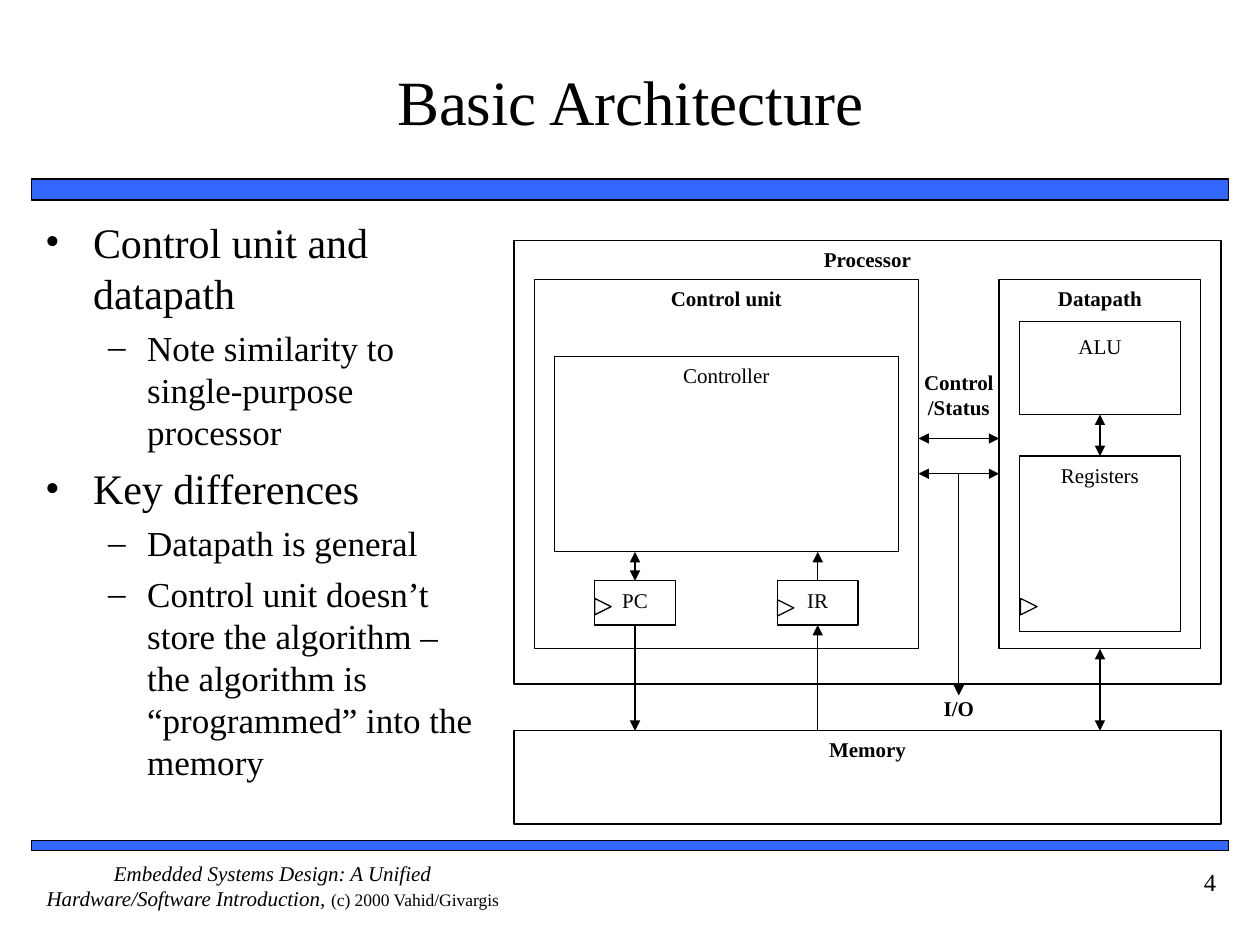
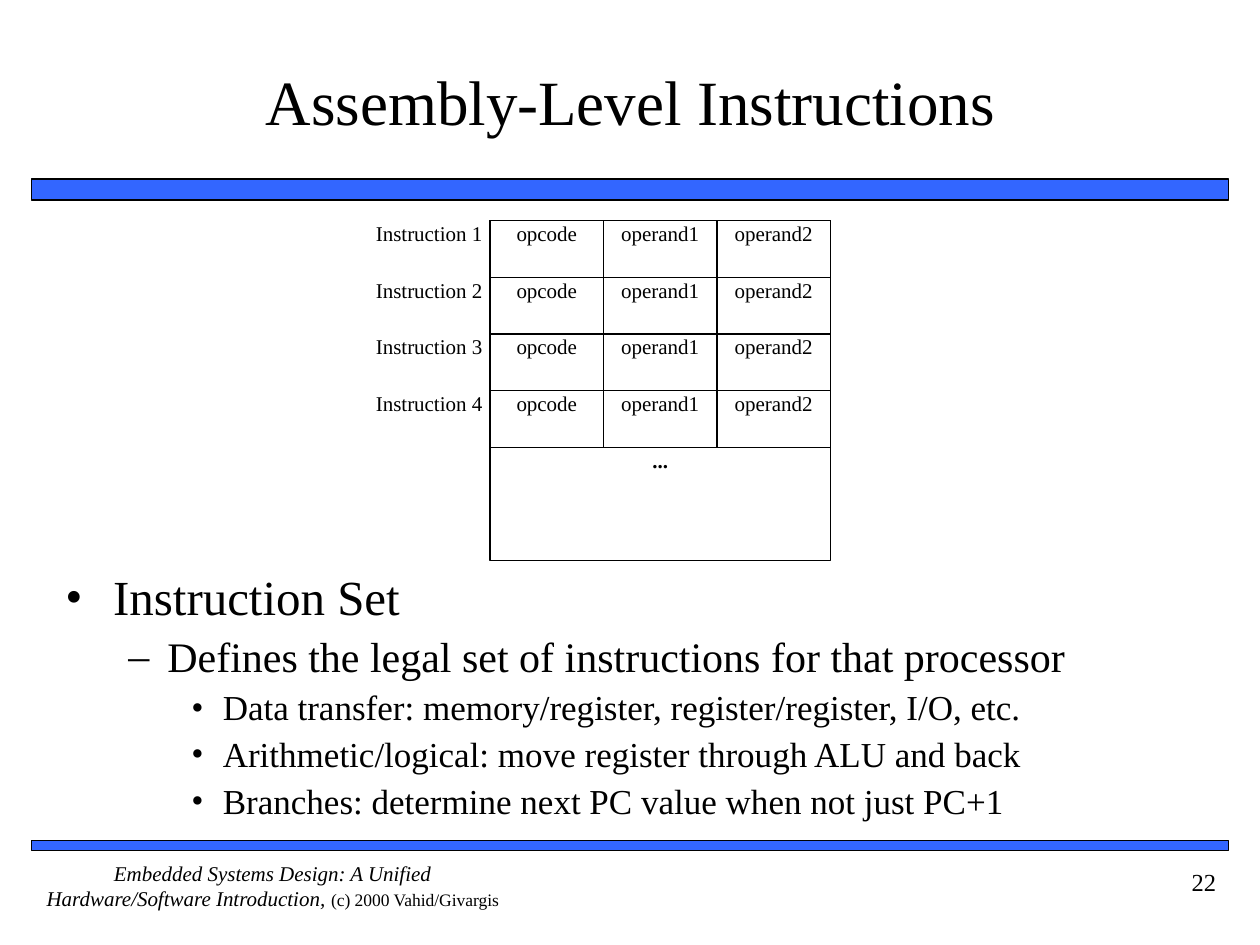
from dataclasses import dataclass, replace
from typing import Optional

from lxml.etree import SubElement
from pptx import Presentation
from pptx.dml.color import RGBColor
from pptx.enum.shapes import MSO_CONNECTOR, MSO_SHAPE
from pptx.enum.text import MSO_ANCHOR, PP_ALIGN
from pptx.oxml.ns import qn
from pptx.util import Inches, Pt

FONT = "Times New Roman"
BLACK, WHITE, BLUE = "000000", "FFFFFF", "3366FF"
THIN = 0.75
INDENT = ((0.38, -0.38, "•"), (0.81, -0.31, "–"), (1.25, -0.25, "•"))


@dataclass(frozen=True)
class Box:
    """A rectangle or a plain text area."""
    left: float
    top: float
    width: float
    height: float
    text: str = ""
    bold: bool = False
    fill: Optional[str] = None
    line: float = THIN
    size: float = 12
    align: PP_ALIGN = PP_ALIGN.CENTER
    anchor: MSO_ANCHOR = MSO_ANCHOR.TOP
    pad: tuple[float, float] = (0.1, 0.05)


@dataclass(frozen=True)
class Arrow:
    """A line with a head at its end, its start or both, joined to named boxes."""
    start: tuple[float, float]
    end: tuple[float, float]
    both: bool = False
    tail: Optional[tuple[str, int]] = None
    head: Optional[tuple[str, int]] = None


@dataclass(frozen=True)
class Item:
    """A bullet line."""
    level: int
    text: str


@dataclass(frozen=True)
class Body:
    """A bullet list with the size and the space before of each level."""
    area: Box
    items: tuple[Item, ...]
    sizes: tuple[int, ...]
    gaps: tuple[int, ...]
    pitch: float = 1.0


def label(left: float, top: float, width: float, height: float,
          text: str = "", **more) -> Box:
    """Return a box with no outline and no margins."""
    return replace(Box(left, top, width, height, text, line=0, pad=(0, 0)), **more)


TITLE = label(0.42, 0.17, 9.17, 1.25, size=36, anchor=MSO_ANCHOR.MIDDLE, pad=(0, 0.05))
BANDS = (Box(0.25, 1.42, 9.5, 0.17, fill=BLUE, line=1),
         Box(0.25, 6.67, 9.5, 0.08, fill=BLUE, line=1))
FOOTER = label(0.25, 6.83, 3.83, 0.5,
               "Embedded Systems Design: A Unified Hardware/Software Introduction, ")
NOTICE = "(c) 2000 Vahid/Givargis"
NUMBER = label(8.75, 6.83, 1, 0.5, size=14, align=PP_ALIGN.RIGHT, pad=(0.1, 0.05))

PARTS = (
    Box(4.08, 1.91, 5.61, 3.52, "Processor", True),
    Box(4.24, 2.22, 3.05, 2.93, "Control unit", True),
    Box(7.93, 2.22, 1.6, 2.93, "Datapath", True),
    Box(8.09, 2.55, 1.28, 0.74, "ALU", fill=WHITE, pad=(0.1, 0.1)),
    Box(8.09, 3.62, 1.28, 1.39, "Registers", fill=WHITE),
    Box(6.17, 4.61, 0.64, 0.35, "IR", fill=WHITE),
    Box(4.72, 4.61, 0.64, 0.35, "PC", fill=WHITE),
    Box(4.4, 2.83, 2.73, 1.55, "Controller", fill=WHITE),
    Box(4.08, 5.8, 5.61, 0.74, "Memory", True, WHITE),
    label(7.37, 5.52, 0.48, 0.28, "I/O", bold=True),
    label(7.29, 2.93, 0.64, 0.56, "Control\n/Status", bold=True),
)
ARROWS = (
    Arrow((6.49, 4.61), (6.49, 4.38), tail=("IR", 0)),
    Arrow((5.04, 4.61), (5.04, 4.38), True, tail=("PC", 0)),
    Arrow((8.73, 3.29), (8.73, 3.62), True, ("ALU", 2), ("Registers", 0)),
    Arrow((8.73, 5.15), (8.73, 5.8), True, tail=("Datapath", 2)),
    Arrow((5.04, 4.96), (5.04, 5.8), tail=("PC", 2)),
    Arrow((6.49, 5.8), (6.49, 4.96), head=("IR", 2)),
    Arrow((7.29, 3.48), (7.93, 3.48), True),
    Arrow((7.29, 3.76), (7.93, 3.76), True),
    Arrow((7.61, 3.76), (7.61, 5.52), head=("I/O", 0)),
)
CLOCKS = ((4.72, 4.75), (6.17, 4.76), (8.1, 4.75))

UNITS = Body(
    label(0.26, 1.67, 3.71, 4.92, pad=(0.1, 0.05)),
    (Item(0, "Control unit and datapath"),
     Item(1, "Note similarity to single-purpose processor"),
     Item(0, "Key differences"),
     Item(1, "Datapath is general"),
     Item(1, "Control unit doesn’t store the algorithm – the algorithm is "
             "“programmed” into the memory")),
    (24, 20), (6, 5))
ORDERS = Body(
    label(0.42, 4.5, 9.17, 2.08, pad=(0.1, 0.05)),
    (Item(0, "Instruction Set"),
     Item(1, "Defines the legal set of instructions for that processor"),
     Item(2, "Data transfer: memory/register, register/register, I/O, etc."),
     Item(2, "Arithmetic/logical: move register through ALU and back"),
     Item(2, "Branches: determine next PC value when not just PC+1")),
    (28, 24, 20), (7, 6, 5), 0.9)

FIELDS = ("opcode", "operand1", "operand2")
ROWS = 4
GRID_X, GRID_Y = 3.89, 1.75
CELL_W, CELL_H = 0.9, 0.45


def color(code: str) -> RGBColor:
    """Turn a hex string into a colour."""
    return RGBColor.from_string(code)


def style(font, size: float, bold: bool = False, slant: bool = False) -> None:
    """Set the look of a font."""
    font.name, font.size = FONT, Pt(size)
    font.bold, font.italic = bold, slant
    font.color.rgb = color(BLACK)


def paint(shape, fill: Optional[str], line: float) -> None:
    """Set fill and outline and drop the shadow."""
    shape.shadow.inherit = False
    if fill:
        shape.fill.solid()
        shape.fill.fore_color.rgb = color(fill)
    else:
        shape.fill.background()
    shape.line.color.rgb = color(BLACK)
    shape.line.width = Pt(line)


def draw(slide, box: Box):
    """Draw one box with its text and return the shape."""
    area = [Inches(n) for n in (box.left, box.top, box.width, box.height)]
    if box.line:
        shape = slide.shapes.add_shape(MSO_SHAPE.RECTANGLE, *area)
        paint(shape, box.fill, box.line)
    else:
        shape = slide.shapes.add_textbox(*area)
    frame = shape.text_frame
    frame.word_wrap = True
    frame.vertical_anchor = box.anchor
    frame.margin_left = frame.margin_right = Inches(box.pad[0])
    frame.margin_top = frame.margin_bottom = Inches(box.pad[1])
    if box.text:
        frame.text = box.text
        for para in frame.paragraphs:
            para.alignment = box.align
            for run in para.runs:
                style(run.font, box.size, box.bold)
    return shape


def link(slide, arrow: Arrow, shapes: dict) -> None:
    """Draw one arrow and join it to its boxes."""
    ends = [Inches(n) for n in arrow.start + arrow.end]
    line = slide.shapes.add_connector(MSO_CONNECTOR.STRAIGHT, *ends)
    if arrow.tail:
        line.begin_connect(shapes[arrow.tail[0]], arrow.tail[1])
    if arrow.head:
        line.end_connect(shapes[arrow.head[0]], arrow.head[1])
    line.line.color.rgb = color(BLACK)
    line.line.width = Pt(THIN)
    stroke = line.line._get_or_add_ln()
    for tag in ("a:headEnd", "a:tailEnd") if arrow.both else ("a:tailEnd",):
        SubElement(stroke, qn(tag), type="triangle")
    SubElement(line._element.spPr, qn("a:effectLst"))


def write(slide, body: Body) -> None:
    """Write a bullet list."""
    frame = draw(slide, body.area).text_frame
    frame.text = "\n".join(item.text for item in body.items)
    for spot, (para, item) in enumerate(zip(frame.paragraphs, body.items)):
        left, hang, mark = INDENT[item.level]
        props = para._p.get_or_add_pPr()
        props.set("marL", str(Inches(left)))
        props.set("indent", str(Inches(hang)))
        SubElement(props, qn("a:buFont"), typeface=FONT)
        SubElement(props, qn("a:buChar"), char=mark)
        para.level = item.level
        para.line_spacing = body.pitch
        para.space_before = Pt(body.gaps[item.level] if spot else 0)
        style(para.runs[0].font, body.sizes[item.level])


def start(deck, title: str, number: int):
    """Add a slide with title, bands, footer and number."""
    slide = deck.slides.add_slide(deck.slide_layouts[6])
    for band in BANDS:
        draw(slide, band)
    para = draw(slide, FOOTER).text_frame.paragraphs[0]
    style(para.runs[0].font, 12, slant=True)
    run = para.add_run()
    run.text = NOTICE
    style(run.font, 10)
    draw(slide, replace(NUMBER, text=str(number)))
    draw(slide, replace(TITLE, text=title))
    return slide


def basic(deck) -> None:
    """Build the processor slide."""
    slide = start(deck, "Basic Architecture", 4)
    write(slide, UNITS)
    shapes = {part.text: draw(slide, part) for part in PARTS}
    for arrow in ARROWS:
        link(slide, arrow, shapes)
    side = Inches(0.13)
    for left, top in CLOCKS:
        clock = slide.shapes.add_shape(MSO_SHAPE.ISOSCELES_TRIANGLE,
                                       Inches(left), Inches(top), side, side)
        clock.rotation = 90
        paint(clock, None, THIN)


def level(deck) -> None:
    """Build the instruction slide."""
    slide = start(deck, "Assembly-Level Instructions", 22)
    draw(slide, Box(GRID_X, GRID_Y, len(FIELDS) * CELL_W, (ROWS + 2) * CELL_H, fill=WHITE))
    for row in range(ROWS):
        top = GRID_Y + row * CELL_H
        draw(slide, label(2.67, top, 1.16, CELL_H, f"Instruction {row + 1}",
                          align=PP_ALIGN.RIGHT))
        for col, field in enumerate(FIELDS):
            draw(slide, Box(GRID_X + col * CELL_W, top, CELL_W, CELL_H, field, pad=(0, 0)))
    draw(slide, label(GRID_X + CELL_W, GRID_Y + ROWS * CELL_H, CELL_W, CELL_H,
                      "...", bold=True))
    write(slide, ORDERS)


def main() -> None:
    """Build and save the deck."""
    deck = Presentation()
    deck.slide_width, deck.slide_height = Inches(10), Inches(7.5)
    basic(deck)
    level(deck)
    deck.save("out.pptx")


if __name__ == "__main__":
    main()
